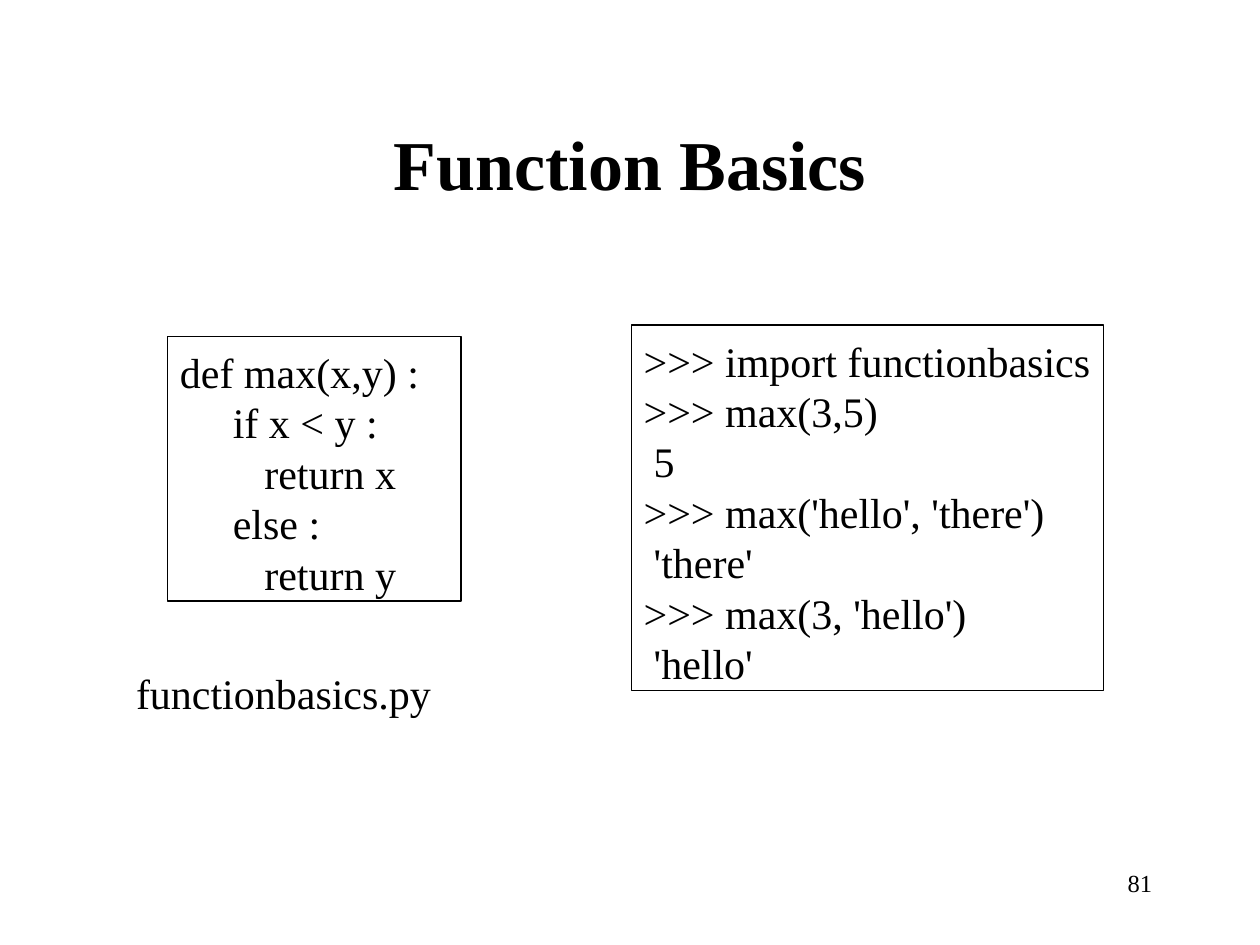
from pptx import Presentation
from pptx.dml.color import RGBColor
from pptx.enum.shapes import MSO_SHAPE as Shape
from pptx.enum.text import MSO_ANCHOR as Anchor, PP_ALIGN as Align
from pptx.util import Inches, Pt

BLACK = RGBColor(0, 0, 0)
FONT = "Times New Roman"

FUNCTION_CODE = [
    ("def max(x,y) :", 0),
    ("if x < y :", 0.42),
    ("return x", 0.67),
    ("else :", 0.42),
    ("return y", 0.67),
]
SESSION = [
    (">>> import functionbasics", 0),
    (">>> max(3,5)", 0),
    ("5", 0.08),
    (">>> max('hello', 'there')", 0),
    ("'there'", 0.08),
    (">>> max(3, 'hello')", 0),
    ("'hello'", 0.08),
]


def write_text(frame, lines, size=24, bold=False, align=Align.LEFT,
               inset_left=0.01, inset_top=0.02, spacing=None, wrap=False):
    frame.word_wrap = wrap
    frame.vertical_anchor = Anchor.TOP
    frame.margin_left, frame.margin_top = Inches(inset_left), Inches(inset_top)
    frame.margin_right = frame.margin_bottom = 0
    for number, (text, indent) in enumerate(lines):
        paragraph = frame.add_paragraph() if number else frame.paragraphs[0]
        paragraph.alignment = align
        if spacing:
            paragraph.line_spacing = Pt(spacing)
        if indent:
            paragraph._p.get_or_add_pPr().set("marL", str(Inches(indent)))
        run = paragraph.add_run()
        run.text = text
        run.font.name = FONT
        run.font.size = Pt(size)
        run.font.bold = bold
        run.font.color.rgb = BLACK


def add_title(slide, text, left, top, width, height):
    title = slide.shapes.title
    title.left, title.top = Inches(left), Inches(top)
    title.width, title.height = Inches(width), Inches(height)
    write_text(title.text_frame, [(text, 0)], size=40, bold=True,
               align=Align.CENTER, wrap=True)


def add_label(slide, text, left, top, width, height, **text_format):
    label = slide.shapes.add_textbox(Inches(left), Inches(top),
                                     Inches(width), Inches(height))
    write_text(label.text_frame, [(text, 0)], **text_format)


def add_code_box(slide, lines, left, top, width, height):
    box = slide.shapes.add_shape(Shape.RECTANGLE, Inches(left), Inches(top),
                                 Inches(width), Inches(height))
    box.shadow.inherit = False
    box.fill.background()
    box.line.color.rgb = BLACK
    box.line.width = Pt(0.75)
    write_text(box.text_frame, lines, inset_left=0.1, inset_top=0.08,
               spacing=28.8, wrap=True)


def main():
    deck = Presentation()
    deck.slide_width, deck.slide_height = Inches(10), Inches(7.5)
    slide = deck.slides.add_slide(deck.slide_layouts[5])
    add_title(slide, "Function Basics", 3.11, 0.94, 3.77, 0.69)
    add_code_box(slide, FUNCTION_CODE, 1.33, 2.67, 2.33, 2.1)
    add_code_box(slide, SESSION, 5.01, 2.58, 3.75, 2.9)
    add_label(slide, "functionbasics.py", 1.07, 5.28, 2.37, 0.43)
    add_label(slide, "81", 8.91, 6.89, 0.28, 0.24,
              size=14, inset_left=0.04, inset_top=0)
    deck.save("out.pptx")


if __name__ == "__main__":
    main()
